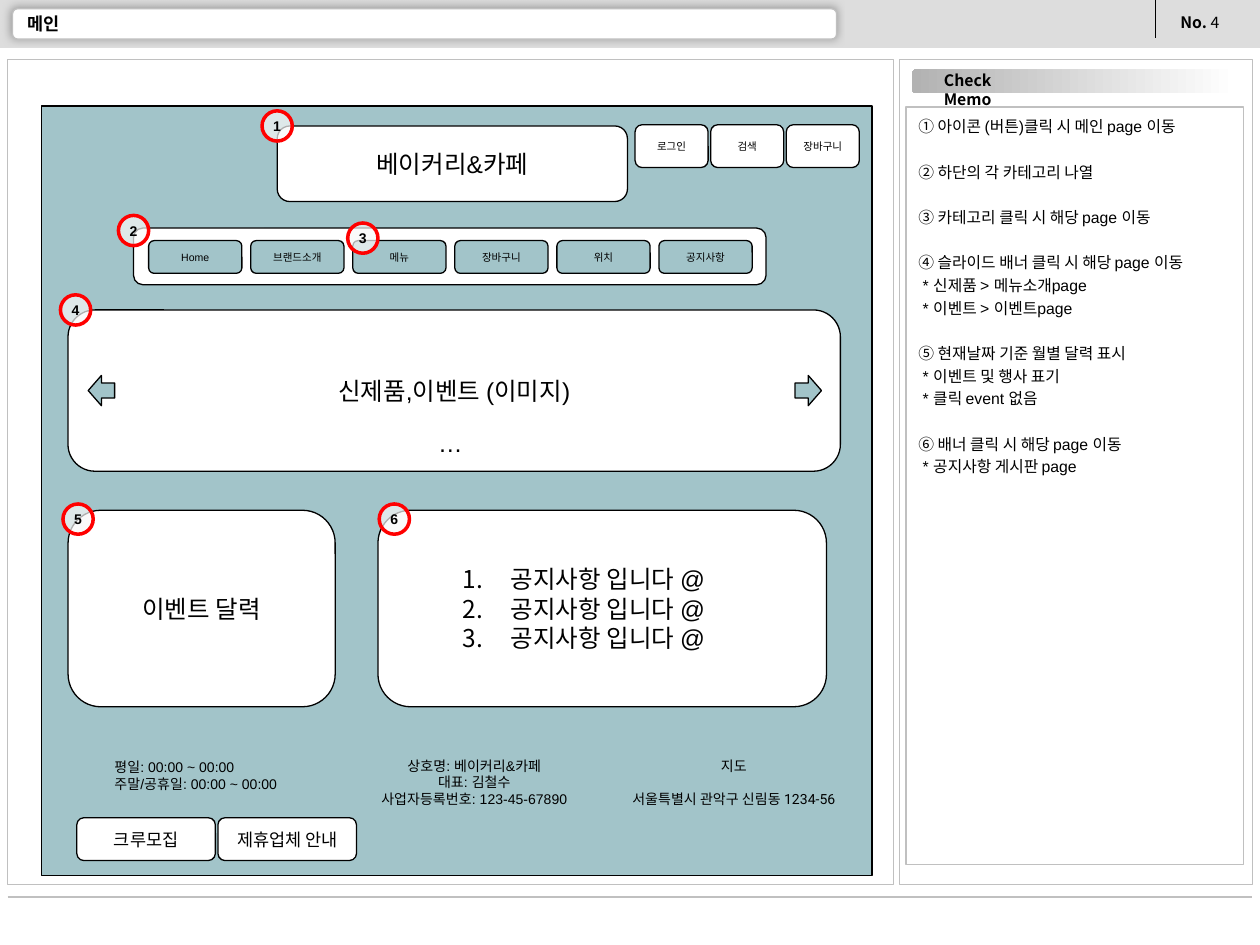
from dataclasses import dataclass

from lxml import etree
from pptx import Presentation
from pptx.dml.color import RGBColor
from pptx.enum.shapes import MSO_CONNECTOR, MSO_SHAPE
from pptx.enum.text import MSO_ANCHOR, PP_ALIGN
from pptx.oxml.ns import qn
from pptx.util import Inches, Pt

RECT, ROUND, OVAL = MSO_SHAPE.RECTANGLE, MSO_SHAPE.ROUNDED_RECTANGLE, MSO_SHAPE.OVAL
LEFT_ARROW, RIGHT_ARROW = MSO_SHAPE.LEFT_ARROW, MSO_SHAPE.RIGHT_ARROW
STRAIGHT = MSO_CONNECTOR.STRAIGHT
LEFT, CENTER = PP_ALIGN.LEFT, PP_ALIGN.CENTER
TOP, MIDDLE = MSO_ANCHOR.TOP, MSO_ANCHOR.MIDDLE


@dataclass(frozen=True)
class Theme:
    black: str = "000000"
    white: str = "FFFFFF"
    teal: str = "A2C4C9"
    band: str = "DDDDDD"
    border: str = "C0C0C0"
    memo_grey: str = "B2B2B2"
    shadow: str = "989898"
    badge: str = "F8F8F8"
    red: str = "FF0000"
    font: str = "Arial"
    label_font: str = "Noto Sans CJK KR"
    address_font: str = "Roboto"
    tiny: float = 6
    small: float = 8
    note: float = 9
    body: float = 10
    large: float = 14
    memo_gap: float = 12.9     # space before a memo group, in points
    address_gap: float = 9.5   # space before the address, in points


THEME = Theme()

# Text insets in inches: horizontal, vertical
EVEN_INSETS, TEXT_INSETS, BADGE_INSETS = (0.1, 0.1), (0.1, 0.05), (0.04, 0.05)

UTILITIES = ["로그인", "검색", "장바구니"]
NAVIGATION = ["Home", "브랜드소개", "메뉴", "장바구니", "위치", "공지사항"]
FOOTER_BUTTONS = ["크루모집", "제휴업체 안내"]
NOTICES = ["공지사항 입니다 @"] * 3
HOURS = ["평일: 00:00 ~ 00:00", "주말/공휴일: 00:00 ~ 00:00"]
BUSINESS = ["상호명: 베이커리&카페", "대표: 김철수", "사업자등록번호: 123-45-67890"]
LOCATION = ["지도", "서울특별시 관악구 신림동 1234-56"]
MEMO_GROUPS = [
    ["① 아이콘 (버튼)클릭 시 메인 page 이동"],
    ["② 하단의 각 카테고리 나열"],
    ["③ 카테고리 클릭 시 해당 page 이동"],
    ["④ 슬라이드 배너 클릭 시 해당 page 이동", " * 신제품 > 메뉴소개page", " * 이벤트 > 이벤트page"],
    ["⑤ 현재날짜 기준 월별 달력 표시", " * 이벤트 및 행사 표기", " * 클릭 event 없음"],
    ["⑥ 배너 클릭 시 해당 page 이동", " * 공지사항 게시판 page"],
]
# Left and top of badges 1 to 6
BADGE_CORNERS = [(2.08, 0.88), (0.94, 1.71), (2.76, 1.77), (0.48, 2.34), (0.5, 4), (3.01, 4)]


def color(value):
    return RGBColor.from_string(value)


def add_span(para, text, size, font, bold=False):
    span = para.add_run()
    span.text = text
    span.font.size, span.font.name, span.font.bold = Pt(size), font, bold
    span.font.color.rgb = color(THEME.black)


def write(box, lines, size=THEME.body, font=THEME.font, bold=False, align=CENTER,
          anchor=MIDDLE, insets=EVEN_INSETS, spacing=None):
    """Fill a box with one paragraph per line and return the paragraphs."""
    frame = box.text_frame
    frame.word_wrap = True
    frame.vertical_anchor = anchor
    frame.margin_left = frame.margin_right = Inches(insets[0])
    frame.margin_top = frame.margin_bottom = Inches(insets[1])
    for index, line in enumerate(lines):
        para = frame.add_paragraph() if index else frame.paragraphs[0]
        para.alignment = align
        para.line_spacing = spacing
        add_span(para, line, size, font, bold)
    return frame.paragraphs


def add_box(page, kind, place, fill=THEME.white, line=THEME.black, width=0.75):
    box = page.shapes.add_shape(kind, *map(Inches, place))
    box.shadow.inherit = False
    box.fill.solid()
    box.fill.fore_color.rgb = color(fill)
    if line:
        box.line.color.rgb = color(line)
        box.line.width = Pt(width)
    else:
        box.line.fill.background()
    return box


def add_text(page, place, lines, anchor=TOP, insets=TEXT_INSETS, **style):
    box = page.shapes.add_textbox(*map(Inches, place))
    return write(box, lines, anchor=anchor, insets=insets, **style)


def add_line(page, start, end, line, width):
    rule = page.shapes.add_connector(STRAIGHT, *map(Inches, start + end))
    rule.line.color.rgb = color(line)
    rule.line.width = Pt(width)
    etree.SubElement(rule._element.spPr, qn("a:effectLst"))


def add_button_row(page, labels, first_place, gap, size, fill=THEME.white):
    """Set equal buttons side by side, starting at the first place."""
    left, top, width, height = first_place
    for index, label in enumerate(labels):
        place = (left + index * (width + gap), top, width, height)
        write(add_box(page, ROUND, place, fill), [label], size=size)


def add_badge(page, number, left, top):
    badge = add_box(page, OVAL, (left, top, 0.24, 0.24), THEME.badge, THEME.red, 2)
    tint = badge._element.spPr.find(qn("a:solidFill"))[0]
    etree.SubElement(tint, qn("a:alpha"), val="70000")
    write(badge, [str(number)], size=THEME.small, bold=True, insets=BADGE_INSETS)


def add_outer_shadow(box):
    effects = box._element.spPr.find(qn("a:effectLst"))
    shadow = etree.SubElement(effects, qn("a:outerShdw"), blurRad=str(Pt(5)),
                              dist=str(Pt(1.4)), dir=str(225 * 60000))
    etree.SubElement(shadow, qn("a:srgbClr"), val=THEME.shadow)


def fade(box, *tints):
    box.fill.gradient()
    box.fill.gradient_angle = 180
    for stop, tint in zip(box.fill.gradient_stops, tints):
        stop.color.rgb = color(tint)


def number_paragraph(para):
    props = para._p.get_or_add_pPr()
    props.set("marL", str(Inches(0.88)))
    props.set("indent", str(Inches(-0.38)))
    tint = etree.SubElement(props, qn("a:buClr"))
    etree.SubElement(tint, qn("a:srgbClr"), val=THEME.black)
    etree.SubElement(props, qn("a:buFont"), typeface=THEME.label_font)
    etree.SubElement(props, qn("a:buAutoNum"), type="arabicPeriod")


def draw_frame(page):
    # Header band, title and page number
    add_box(page, RECT, (0, 0, 10, 0.38), THEME.band, None)
    add_line(page, (9.17, 0), (9.17, 0.3), THEME.black, 0.75)
    label = add_text(page, (9.27, 0.05, 0.62, 0.25), ["No. "], size=THEME.note,
                     font=THEME.label_font, bold=True, align=LEFT)[0]
    add_span(label, "4", THEME.note, THEME.label_font)
    add_outer_shadow(add_box(page, ROUND, (0.1, 0.07, 6.54, 0.24), line=THEME.border))
    add_text(page, (0.12, 0.1, 5.42, 0.18), ["메인"], bold=True, align=LEFT, anchor=MIDDLE)
    # Bottom rule, then the memo and wireframe panels
    add_line(page, (0.06, 7.12), (9.94, 7.12), THEME.border, 1.5)
    for left, width in ((7.14, 2.8), (0.06, 7.03)):
        add_box(page, RECT, (left, 0.47, width, 6.55), line=THEME.border)


def draw_memo(page):
    # Heading on a fading bar
    fade(add_box(page, ROUND, (7.24, 0.55, 2.57, 0.19), line=None),
         THEME.white, THEME.memo_grey)
    add_text(page, (7.2, 0.51, 0.96, 0.25), ["Check Memo"], size=THEME.note,
             font=THEME.label_font, bold=True)
    # Notes: every group after the first opens with a gap
    notes = add_box(page, RECT, (7.19, 0.85, 2.68, 6.01), line=THEME.border)
    lines = [line for group in MEMO_GROUPS for line in group]
    openers = [group[0] for group in MEMO_GROUPS[1:]]
    for para in write(notes, lines, size=THEME.note, align=LEFT, anchor=TOP,
                      insets=TEXT_INSETS, spacing=1.2):
        if para.text in openers:
            para.space_before = Pt(THEME.memo_gap)


def draw_site_header(page):
    write(add_box(page, ROUND, (2.2, 1, 2.78, 0.6)), ["베이커리&카페"], size=THEME.large)
    add_button_row(page, UTILITIES, (5.04, 0.99, 0.58, 0.34), 0.02, THEME.tiny)
    add_box(page, ROUND, (1.06, 1.81, 5.02, 0.45))
    add_button_row(page, NAVIGATION, (1.18, 1.91, 0.74, 0.26), 0.07, THEME.tiny, THEME.teal)


def draw_site_content(page):
    # Sliding banner with its arrows
    banner = add_box(page, ROUND, (0.54, 2.46, 6.13, 1.28))
    write(banner, ["신제품,이벤트 (이미지)"], size=THEME.large)
    for arrow, left in ((LEFT_ARROW, 0.7), (RIGHT_ARROW, 6.31)):
        add_box(page, arrow, (left, 2.98, 0.21, 0.24), THEME.teal)
    add_text(page, (3.38, 3.3, 0.44, 0.44), ["…"], size=THEME.large, align=LEFT,
             insets=EVEN_INSETS)
    # Calendar and numbered notices
    write(add_box(page, ROUND, (0.54, 4.05, 2.12, 1.56)), ["이벤트 달력"], size=THEME.large)
    notices = add_box(page, ROUND, (3, 4.05, 3.56, 1.56))
    for para in write(notices, NOTICES, size=THEME.large, align=LEFT):
        number_paragraph(para)


def draw_site_footer(page):
    add_text(page, (0.81, 5.97, 1.73, 0.37), HOURS, size=THEME.small, align=LEFT)
    add_text(page, (2.8, 5.96, 1.93, 0.5), BUSINESS, size=THEME.small)
    address = add_text(page, (4.86, 5.96, 1.93, 0.5), LOCATION, size=THEME.small)[1]
    address.space_before = Pt(THEME.address_gap)
    address.runs[0].font.name = THEME.address_font
    add_button_row(page, FOOTER_BUTTONS, (0.61, 6.49, 1.1, 0.34), 0.02, THEME.body)


def main():
    deck = Presentation()
    deck.slide_width, deck.slide_height = Inches(10), Inches(7.5)
    page = deck.slides.add_slide(deck.slide_layouts[6])
    draw_frame(page)
    draw_memo(page)
    # Wireframe of the site, with badges that refer to the memo
    add_box(page, RECT, (0.33, 0.84, 6.59, 6.11), THEME.teal)
    draw_site_header(page)
    draw_site_content(page)
    draw_site_footer(page)
    for number, corner in enumerate(BADGE_CORNERS, 1):
        add_badge(page, number, *corner)
    deck.save("out.pptx")


if __name__ == "__main__":
    main()
